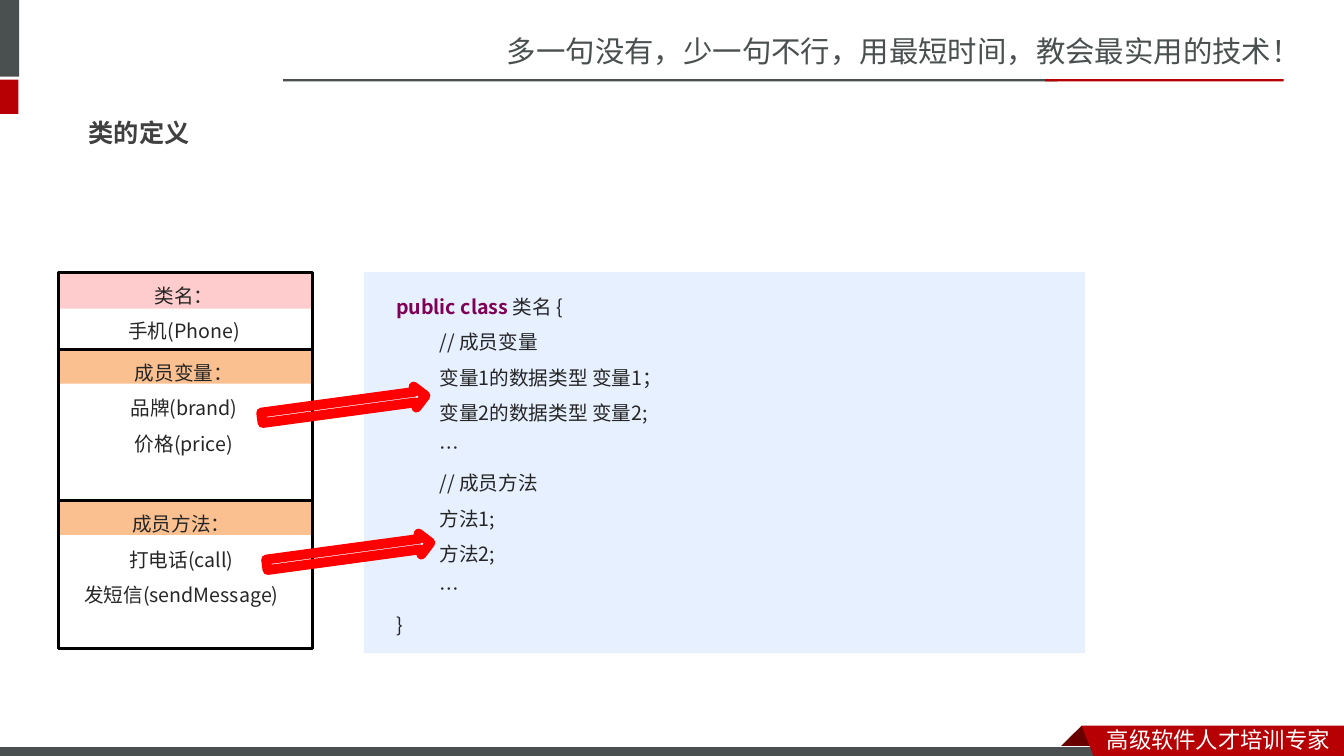
from pptx import Presentation
from pptx.dml.color import RGBColor
from pptx.enum.shapes import MSO_SHAPE as Shape
from pptx.enum.text import MSO_ANCHOR as Anchor, PP_ALIGN as Align
from pptx.oxml.ns import qn
from pptx.util import Pt
from lxml.etree import SubElement

HEADING_FONT, BODY_FONT = "Noto Sans CJK SC", "Noto Sans CJK JP"
GREY, RED, DARK_RED = "49504F", "B60004", "680000"
WHITE, BLACK, INK, KEYWORD = "FFFFFF", "000000", "262626", "7F0055"
PINK, ORANGE, PALE_BLUE, ARROW_RED = "FD0000", "FAC090", "E6F0FF", "FF0000"

CARD_LEFT, CARD_WIDTH = 41.8, 181.4
# top, height, header height, header colour, header opacity, text left, text width, lines
SECTIONS = [
    (194.4, 55.2, 26, PINK, 20, 76.3, 110.2, ["类名：", "手机(Phone)"]),
    (249.6, 108, 24.5, ORANGE, 100, 76.3, 110.2,
     ["成员变量：", "品牌(brand)", "价格(price)"]),
    (357.6, 105.4, 24.5, ORANGE, 100, 42.5, 174.2,
     ["成员方法：", "打电话(call)", "发短信(sendMessage)"]),
]
CODE_BODY = ["// 成员变量", "变量1的数据类型 变量1；", "变量2的数据类型 变量2;", "…",
             "// 成员方法", "方法1;", "方法2;", "…"]
CODE_INDENT = 31


def colour(value):
    return RGBColor.from_string(value)


def paint(shape, fill=None, line=None, weight=1, opacity=100):
    shape.shadow.inherit = False
    if fill:
        shape.fill.solid()
        shape.fill.fore_color.rgb = colour(fill)
        if opacity < 100:
            srgb = shape.fill._xPr.find(qn("a:solidFill")).find(qn("a:srgbClr"))
            SubElement(srgb, qn("a:alpha"), val=str(opacity * 1000))
    else:
        shape.fill.background()
    if line:
        shape.line.color.rgb = colour(line)
        shape.line.width = Pt(weight)
    else:
        shape.line.fill.background()
    return shape


def add_block(slide, left, top, width, height, kind=Shape.RECTANGLE, **look):
    block = slide.shapes.add_shape(kind, Pt(left), Pt(top), Pt(width), Pt(height))
    return paint(block, **look)


def add_outline(slide, points, fill):
    builder = slide.shapes.build_freeform(Pt(points[0][0]), Pt(points[0][1]))
    builder.add_line_segments([(Pt(x), Pt(y)) for x, y in points[1:]], close=True)
    return paint(builder.convert_to_shape(), fill=fill)


def write(paragraph, text, size=14, font=BODY_FONT, color=INK, bold=False,
          align=None, spacing=None, indent=0):
    """Add a formatted run and set the format of its paragraph."""
    run = paragraph.add_run()
    run.text = text
    run.font.size, run.font.bold, run.font.name = Pt(size), bold, font
    run.font.color.rgb = colour(color)
    SubElement(run.font._element, qn("a:ea"), typeface=font)
    paragraph.alignment, paragraph.line_spacing = align, spacing
    if indent:
        paragraph._p.get_or_add_pPr().set("marL", str(Pt(indent)))


def add_text(slide, left, top, width, height, lines, **style):
    frame = slide.shapes.add_textbox(Pt(left), Pt(top), Pt(width), Pt(height)).text_frame
    frame.word_wrap = True
    for number, line in enumerate(lines):
        paragraph = frame.add_paragraph() if number else frame.paragraphs[0]
        write(paragraph, line, **style)
    return frame


def add_frame(slide):
    """Draw the header and footer decoration."""
    add_text(slide, 355, 20.2, 605, 34, ["多一句没有，少一句不行，用最短时间，教会最实用的技术！"],
             size=21, font=HEADING_FONT, color=GREY)
    add_block(slide, -4.3, 0, 18, 54.7, fill=GREY)
    add_block(slide, -4.3, 56.9, 17.5, 24.5, fill=RED)
    add_block(slide, 202.3, 56.6, 553, 1.6, fill=GREY)
    add_block(slide, 746.6, 56.6, 170.4, 1.6, fill=RED)
    add_outline(slide, [(772.6, 518.4), (788.4, 534.2), (787.7, 535),
                        (757.4, 535), (756.7, 534.2)], DARK_RED)
    add_block(slide, -0.7, 533.5, 792, 8.6, fill=GREY, line=WHITE, weight=0.75)
    add_outline(slide, [(772.6, 518.4), (960, 518.4), (960, 542.9), (781.9, 542.2)], RED)
    add_text(slide, 783.4, 514.8, 176.4, 26.6, ["高级软件人才培训专家"],
             size=16, font=HEADING_FONT, color=WHITE)


def add_heading(slide, text):
    title = slide.shapes.title
    title.left, title.top, title.width, title.height = Pt(56.2), Pt(74.2), Pt(846), Pt(41)
    title.text_frame.vertical_anchor = Anchor.MIDDLE
    write(title.text_frame.paragraphs[0], text, size=18, color="404040", bold=True,
          align=Align.LEFT)


def add_code(slide):
    add_block(slide, 260, 194.4, 515, 272.2, fill=PALE_BLUE)
    frame = add_text(slide, 275.8, 198.7, 484, 258.5, ["public class "],
                     color=KEYWORD, bold=True, spacing=1.5)
    write(frame.paragraphs[0], "类名 {", spacing=1.5)
    for line in CODE_BODY:
        write(frame.add_paragraph(), line, spacing=1.5, indent=CODE_INDENT)
    write(frame.add_paragraph(), "}", spacing=1.5)


def add_class_card(slide):
    for top, _, header, fill, opacity, left, width, lines in SECTIONS:
        add_block(slide, CARD_LEFT, top, CARD_WIDTH, header, fill=fill, opacity=opacity)
        add_text(slide, left, top - 3.6, width, 28 * len(lines), lines,
                 align=Align.CENTER, spacing=1.5)
    for top, height, *_ in SECTIONS:
        add_block(slide, CARD_LEFT, top, CARD_WIDTH, height, line=BLACK, weight=2)


def main():
    deck = Presentation()
    deck.slide_width, deck.slide_height = Pt(960), Pt(540)
    slide = deck.slides.add_slide(deck.slide_layouts[5])
    add_frame(slide)
    add_heading(slide, "类的定义")
    add_code(slide)
    add_class_card(slide)
    for left, top in [(186.5, 283), (190, 388)]:
        arrow = add_block(slide, left, top, 118, 15.1, kind=Shape.RIGHT_ARROW,
                          line=ARROW_RED, weight=7)
        arrow.rotation = 352.3
    deck.save("out.pptx")


if __name__ == "__main__":
    main()
